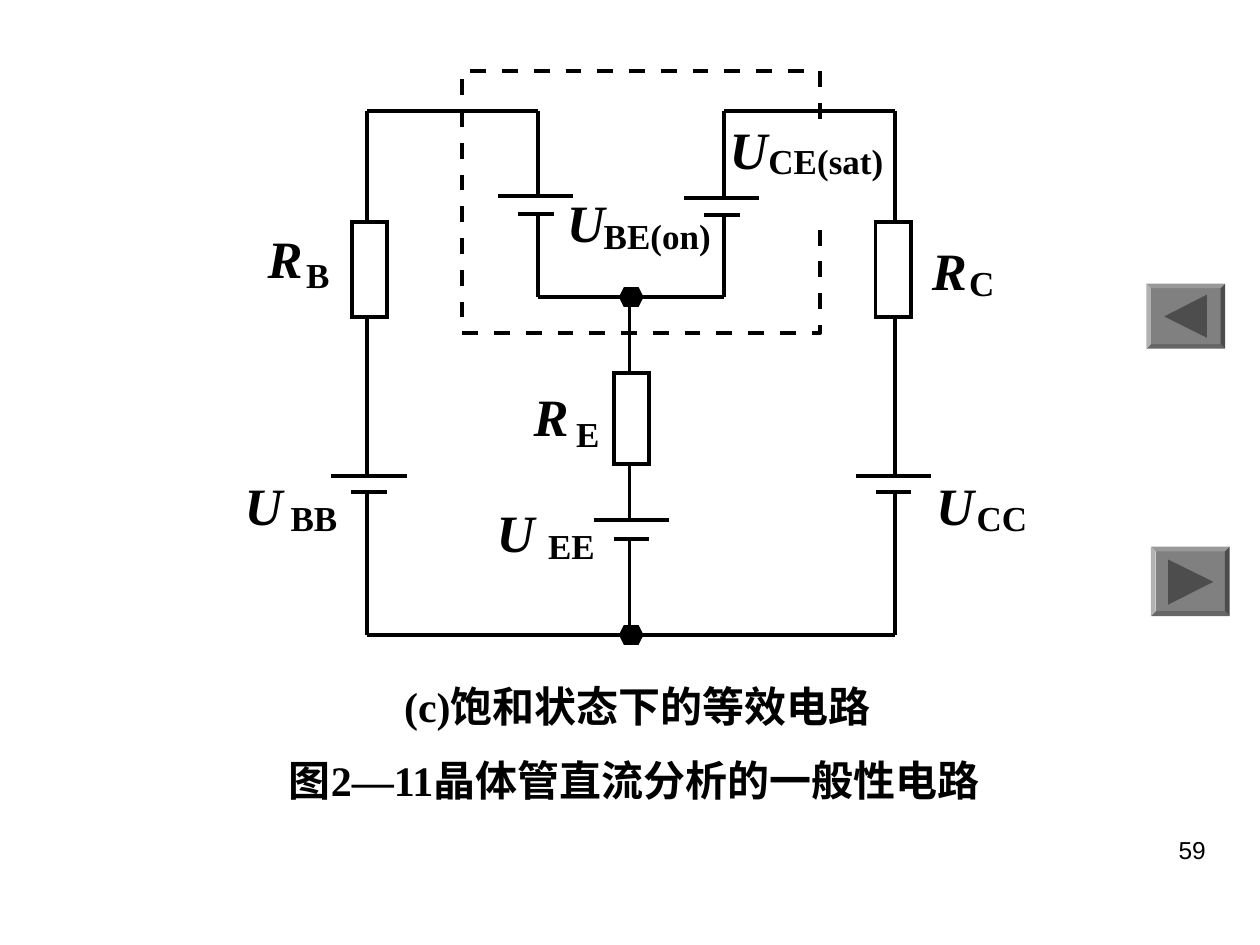
"""Build the slide with the equivalent circuit of a saturated transistor."""
from lxml import etree
from pptx import Presentation
from pptx.dml.color import RGBColor
from pptx.enum.shapes import MSO_CONNECTOR, MSO_SHAPE
from pptx.enum.text import MSO_AUTO_SIZE, PP_ALIGN
from pptx.oxml.ns import qn
from pptx.util import Cm, Pt

BLACK = RGBColor(0x00, 0x00, 0x00)
WHITE = RGBColor(0xFF, 0xFF, 0xFF)
GRAY = RGBColor(0x80, 0x80, 0x80)
DARK_GRAY = RGBColor(0x4D, 0x4D, 0x4D)
STRAIGHT = MSO_CONNECTOR.STRAIGHT
RECTANGLE, HEXAGON, BEVEL = MSO_SHAPE.RECTANGLE, MSO_SHAPE.HEXAGON, MSO_SHAPE.BEVEL
CENTER, JUSTIFY, RIGHT = PP_ALIGN.CENTER, PP_ALIGN.JUSTIFY, PP_ALIGN.RIGHT
FIT_SHAPE = MSO_AUTO_SIZE.SHAPE_TO_FIT_TEXT
SERIF, SANS = "Times New Roman", "Arial"
LINE_WIDTH = Pt(2.25)

presentation = Presentation()
presentation.slide_width, presentation.slide_height = Cm(25.4), Cm(19.05)
slide = presentation.slides.add_slide(presentation.slide_layouts[6])
shapes = slide.shapes


def add_line(x1, y1, x2, y2):
    connector = shapes.add_connector(STRAIGHT, Cm(x1), Cm(y1), Cm(x2), Cm(y2))
    connector.line.color.rgb = BLACK
    connector.line.width = LINE_WIDTH
    etree.SubElement(connector._element.spPr, qn("a:effectLst"))


def add_text(text, left, top, width, height, size, font=SERIF, bold=True,
             italic=False, alignment=CENTER, label=False):
    box = shapes.add_textbox(Cm(left), Cm(top), Cm(width), Cm(height))
    frame = box.text_frame
    frame.word_wrap = not label
    if label:
        frame.auto_size = FIT_SHAPE
        frame.margin_left = frame.margin_right = 0
        frame.margin_top = frame.margin_bottom = 0
    paragraph = frame.paragraphs[0]
    paragraph.alignment = alignment
    run = paragraph.add_run()
    run.text = text
    run.font.name, run.font.size = font, Pt(size)
    run.font.bold, run.font.italic = bold, italic
    run.font.color.rgb = BLACK


left_x, base_x, emitter_x, collector_x, right_x = 7.4, 10.85, 12.69, 14.6, 18.04
top_y, node_y, bottom_y = 2.24, 5.99, 12.8

for x1, x2, y in [(left_x, base_x, top_y), (collector_x, right_x, top_y),
                  (base_x, collector_x, node_y), (left_x, right_x, bottom_y)]:
    add_line(x1, y, x2, y)

batteries = [
    (left_x, 7.44, top_y, 9.6, 9.92, bottom_y),
    (right_x, 18.01, top_y, 9.6, 9.92, bottom_y),
    (emitter_x, 12.73, node_y, 10.49, 10.87, bottom_y),
    (base_x, 10.8, top_y, 3.96, 4.32, node_y),
    (collector_x, 14.55, top_y, 3.99, 4.34, node_y),
]
for wire_x, plate_x, start_y, long_y, short_y, end_y in batteries:
    add_line(wire_x, start_y, wire_x, long_y)
    add_line(wire_x, short_y, wire_x, end_y)
    add_line(plate_x - 0.76, long_y, plate_x + 0.76, long_y)
    add_line(plate_x - 0.36, short_y, plate_x + 0.36, short_y)

components = [
    (RECTANGLE, 7.09, 4.47, 0.71, 1.93, WHITE),
    (RECTANGLE, 17.65, 4.47, 0.71, 1.93, WHITE),
    (RECTANGLE, 12.37, 7.52, 0.71, 1.83, WHITE),
    (HEXAGON, 12.52, node_y - 0.16, 0.41, 0.32, BLACK),
    (HEXAGON, 12.52, bottom_y - 0.16, 0.41, 0.32, BLACK),
]
for kind, left, top, width, height, color in components:
    shape = shapes.add_shape(kind, Cm(left), Cm(top), Cm(width), Cm(height))
    shape.shadow.inherit = False
    shape.fill.solid()
    shape.fill.fore_color.rgb = color
    shape.line.color.rgb = BLACK
    shape.line.width = LINE_WIDTH
    etree.SubElement(shape._element.spPr.find(qn("a:ln")), qn("a:miter"), lim="800000")

frame_left, frame_top, frame_right, frame_bottom = 9.32, 1.43, 16.53, 6.72
dash, pitch = 0.32, 0.64
for step in range(11):
    for start, y in [(9.48, frame_top), (frame_left, frame_bottom)]:
        x = start + step * pitch
        add_line(x, y, x + dash, y)
for x, start, steps in [(frame_left, 1.6, range(8)),
                        (frame_right, frame_top, (0, 1, 5, 6, 7))]:
    for step in steps:
        y = start + step * pitch
        add_line(x, y, x, y + dash)

builder = shapes.build_freeform(Cm(frame_right - 0.16), Cm(frame_bottom))
builder.add_line_segments([(Cm(frame_right), Cm(frame_bottom)),
                           (Cm(frame_right), Cm(frame_bottom - 0.16))], close=False)
corner = builder.convert_to_shape()
corner.shadow.inherit = False
corner.fill.background()
corner.line.color.rgb = BLACK
corner.line.width = LINE_WIDTH

labels = [
    ("R", 5.38, 4.55, "B", 6.17, 5.11, 0.48),
    ("U", 4.93, 9.53, "BB", 5.84, 10.01, 0.98),
    ("R", 18.77, 4.8, "C", 19.53, 5.28, 0.52),
    ("U", 18.87, 9.53, "CC", 19.67, 10.01, 1.06),
    ("U", 10.01, 10.08, "EE", 11.03, 10.57, 0.98),
    ("R", 10.74, 7.75, "E", 11.61, 8.31, 0.48),
    ("U", 11.43, 3.84, "BE(on)", 12.15, 4.32, 2.2),
    ("U", 14.71, 2.36, "CE(sat)", 15.46, 2.82, 2.38),
]
for symbol, left, top, subscript, subscript_left, subscript_top, width in labels:
    add_text(symbol, left, top, 0.74, 1.27, 30, italic=True, label=True)
    add_text(subscript, subscript_left, subscript_top, width, 0.84, 20, label=True)

add_text("(c)饱和状态下的等效电路", 7.72, 13.59, 10.26, 1.27, 24)
add_text(" 图2―11晶体管直流分析的一般性电路", 5.38, 15.09, 14.99, 2.29, 24,
         alignment=JUSTIFY)
add_text("59", 18.21, 16.71, 6.35, 1.32, 14, font=SANS, bold=False, alignment=RIGHT)

buttons = [
    (23.11, 5.72, 1.31, [(23.47, 6.38), (24.33, 5.94), (24.33, 6.81)]),
    (23.2, 11.02, 1.4, [(24.46, 11.73), (23.55, 11.28), (23.55, 12.19)]),
]
for left, top, height, (tip, *corners) in buttons:
    button = shapes.add_shape(BEVEL, Cm(left), Cm(top), Cm(1.59), Cm(height))
    button.adjustments[0] = 0.07
    builder = shapes.build_freeform(Cm(tip[0]), Cm(tip[1]))
    builder.add_line_segments([(Cm(x), Cm(y)) for x, y in corners])
    triangle = builder.convert_to_shape()
    for shape, color in [(button, GRAY), (triangle, DARK_GRAY)]:
        shape.shadow.inherit = False
        shape.fill.solid()
        shape.fill.fore_color.rgb = color
        shape.line.fill.background()

presentation.save("out.pptx")
